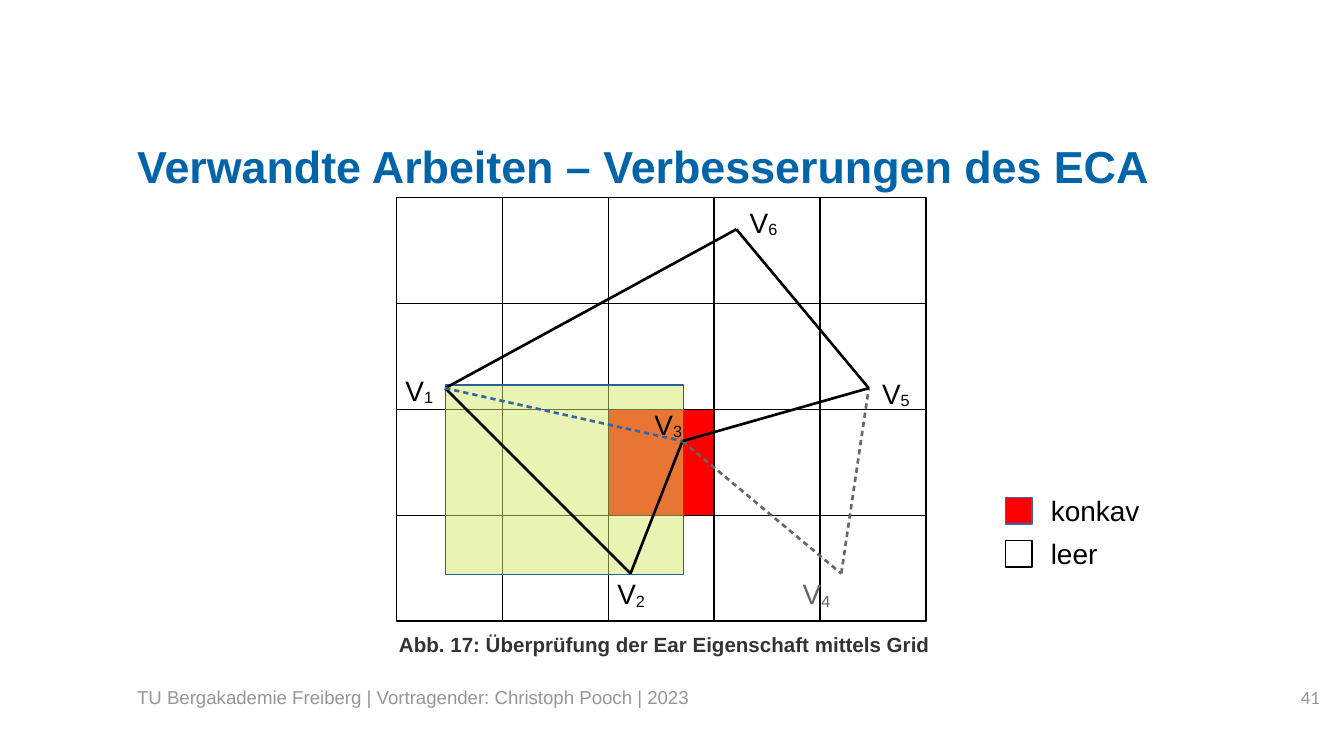
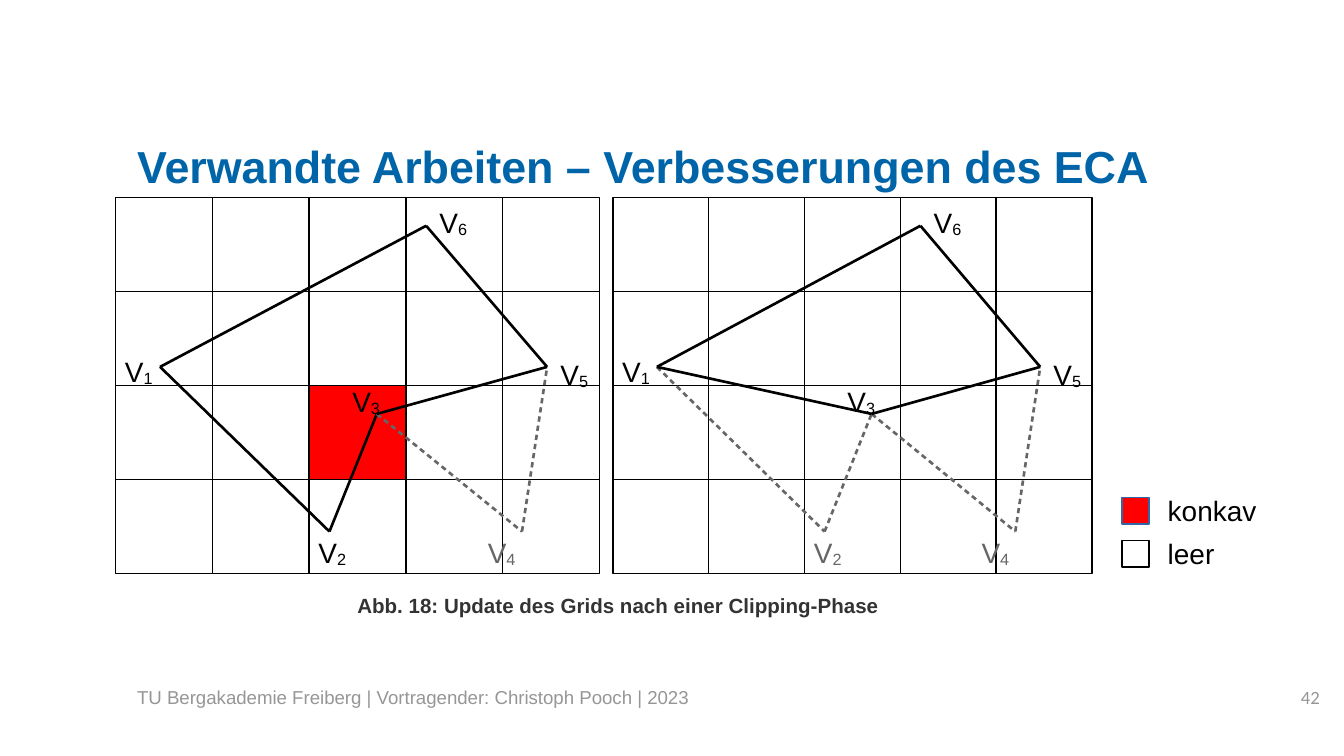
from dataclasses import dataclass
from itertools import product
from typing import NamedTuple, Optional

from lxml import etree
from pptx import Presentation
from pptx.dml.color import RGBColor
from pptx.enum.shapes import MSO_CONNECTOR as Conn, MSO_SHAPE as Shape
from pptx.enum.text import MSO_ANCHOR as Anchor, MSO_AUTO_SIZE as Fit, PP_ALIGN as Align
from pptx.oxml.ns import qn
from pptx.util import Inches, Pt

COLORS = {
    "title": "0064A8", "footer": "969696", "caption": "333333",
    "black": "000000", "gray": "666666", "blue": "3465A4",
    "white": "FFFFFF", "red": "FF0000", "lime": "D4EA6B", "navy": "2A6099",
}
TITLE = "Verwandte Arbeiten – Verbesserungen des ECA"
FOOTER = "TU Bergakademie Freiberg | Vortragender: Christoph Pooch | 2023"

# Page grid: 100 columns of square units, 56.25 rows
WIDTH = Inches(10)
HEIGHT = WIDTH * 9 // 16
UNIT = WIDTH / 100

COLS, ROWS = 5, 4
GRID_TOP = 14.7


class Box(NamedTuple):
    x: float
    y: float
    w: float
    h: float

    def emu(self) -> list[int]:
        return [round(v * UNIT) for v in self]


class Vertex(NamedTuple):
    """Point and label corner, both counted in grid cells."""
    x: float
    y: float
    label_x: float
    label_y: float


VERTICES = {
    1: Vertex(0.46, 1.8, -0.04, 1.6),
    2: Vertex(2.21, 3.55, 1.96, 3.52),
    3: Vertex(2.7, 2.3, 2.31, 1.92),
    4: Vertex(4.2, 3.55, 3.71, 3.52),
    5: Vertex(4.46, 1.8, 4.46, 1.63),
    6: Vertex(3.21, 0.3, 3.21, 0.01),
}
EDGES = [(1, 6), (1, 2), (2, 3), (3, 4), (6, 5), (4, 5), (5, 3)]


@dataclass(frozen=True)
class Panel:
    left: float
    cell_w: float
    cell_h: float
    clipped: tuple[int, ...] = (4,)
    concave_cell: Optional[tuple[int, int]] = None
    bounds: Optional[Box] = None
    diagonal: Optional[str] = None

    def place(self, x: float, y: float, w: float = 0, h: float = 0) -> Box:
        return Box(self.left + x * self.cell_w, GRID_TOP + y * self.cell_h,
                   w * self.cell_w, h * self.cell_h)

    def tone(self, *vertices: int) -> str:
        return "gray" if set(vertices) & set(self.clipped) else "black"


@dataclass(frozen=True)
class Page:
    number: int
    panels: tuple[Panel, ...]
    legend_x: float
    caption: str
    caption_at: tuple[float, float]


PAGES = [
    Page(41,
         (Panel(29.5, 7.88, 7.88, concave_cell=(2, 2),
                bounds=Box(0.46, 1.77, 2.25, 1.79), diagonal="blue"),),
         74.8, "Abb. 17: Überprüfung der Ear Eigenschaft mittels Grid", (28.7, 46.5)),
    Page(42,
         (Panel(45.6, 7.13, 7, clipped=(2, 4), diagonal="black"),
          Panel(8.6, 7.2, 7, concave_cell=(2, 2))),
         83.5, "Abb. 18: Update des Grids nach einer Clipping-Phase", (25.6, 43.6)),
]


def rgb(name: str) -> RGBColor:
    return RGBColor.from_string(COLORS[name])


def style(p, size: float, color: str, bold: bool = False, font: str = "Arial") -> None:
    p.font.size, p.font.name, p.font.bold = Pt(size), font, bold
    p.font.color.rgb = rgb(color)


def add_rect(slide, box: Box, fill: str, line: str, alpha: int = 100):
    sp = slide.shapes.add_shape(Shape.RECTANGLE, *box.emu())
    sp.shadow.inherit = False
    sp.fill.solid()
    sp.fill.fore_color.rgb = rgb(fill)
    if alpha < 100:
        clr = sp.element.spPr.find(qn("a:solidFill")).find(qn("a:srgbClr"))
        etree.SubElement(clr, qn("a:alpha"), val=str(alpha * 1000))
    sp.line.color.rgb = rgb(line)
    sp.line.width = Pt(0)


def add_edge(slide, start: Box, end: Box, color: str, dashed: bool) -> None:
    (x1, y1, *_), (x2, y2, *_) = start.emu(), end.emu()
    c = slide.shapes.add_connector(Conn.STRAIGHT, x1, y1, x2, y2)
    c.line.color.rgb = rgb(color)
    c.line.width = Pt(1.42)
    spPr = c.element.spPr
    if dashed:
        dash = etree.SubElement(spPr.find(qn("a:ln")), qn("a:custDash"))
        etree.SubElement(dash, qn("a:ds"), d="200000", sp="150000")
    etree.SubElement(spPr, qn("a:effectLst"))


def add_text(slide, box: Box, text: str, size: float, color: str, bold: bool = False,
             font: str = "Arial", inset: bool = True, sub: str = ""):
    tf = slide.shapes.add_textbox(*box.emu()).text_frame
    tf.word_wrap = True
    if not inset:
        tf.margin_left = tf.margin_right = tf.margin_top = tf.margin_bottom = 0
    p = tf.paragraphs[0]
    style(p, size, color, bold, font)
    p.add_run().text = text
    if sub:
        r = p.add_run()
        r.text = sub
        r._r.get_or_add_rPr().set("baseline", "-8000")
    return p


def add_frame(slide, number: int) -> None:
    # Title, footer and page number
    title = slide.shapes.title
    title.left, title.top, title.width, title.height = Box(10.2, 10, 88.2, 4.7).emu()
    tf = title.text_frame
    tf.text = TITLE
    tf.auto_size, tf.vertical_anchor = Fit.NONE, Anchor.MIDDLE
    tf.margin_left = tf.margin_right = tf.margin_top = tf.margin_bottom = 0
    p = tf.paragraphs[0]
    p.alignment = Align.LEFT
    style(p, 24, "title", bold=True)
    add_text(slide, Box(10.2, 51, 79.9, 3.9), FOOTER, 10, "footer", inset=False)
    p = add_text(slide, Box(90.2, 51, 8, 4), str(number), 10, "footer",
                 font="Calibri", inset=False)
    p.alignment = Align.RIGHT


def add_panel(slide, panel: Panel) -> None:
    # Cells, with the concave one drawn last so its outline stays whole
    cells = product(range(COLS), range(ROWS))
    for cell in sorted(cells, key=lambda c: c == panel.concave_cell):
        fill = "red" if cell == panel.concave_cell else "white"
        add_rect(slide, panel.place(*cell, 1, 1), fill, "black")
    if panel.bounds:
        add_rect(slide, panel.place(*panel.bounds), "lime", "navy", alpha=50)

    # Polygon edges
    points = {n: panel.place(v.x, v.y) for n, v in VERTICES.items()}
    for a, b in EDGES:
        tone = panel.tone(a, b)
        add_edge(slide, points[a], points[b], tone, tone == "gray")
    if panel.diagonal:
        add_edge(slide, points[1], points[3], panel.diagonal, panel.diagonal == "blue")

    # Vertex labels
    for n, v in VERTICES.items():
        x, y, w, _ = panel.place(v.label_x, v.label_y, 0.75)
        add_text(slide, Box(x, y, w, 3.3), "V", 15, panel.tone(n), sub=str(n))


def add_legend(slide, x: float) -> None:
    entries = [("konkav", "red", "blue"), ("leer", "white", "black")]
    for i, (name, fill, line) in enumerate(entries):
        y = 37 + 3.2 * i
        add_rect(slide, Box(x, y, 2, 2), fill, line)
        add_text(slide, Box(x + 2.4, y - 0.8, 13.8, 3.3), name, 15, "black")


def main() -> None:
    prs = Presentation()
    prs.slide_width, prs.slide_height = WIDTH, HEIGHT
    for page in PAGES:
        slide = prs.slides.add_slide(prs.slide_layouts[5])
        add_frame(slide, page.number)
        for panel in page.panels:
            add_panel(slide, panel)
        add_legend(slide, page.legend_x)
        add_text(slide, Box(*page.caption_at, 42.5, 5.6), page.caption, 11,
                 "caption", bold=True)
    prs.save("out.pptx")


if __name__ == "__main__":
    main()
